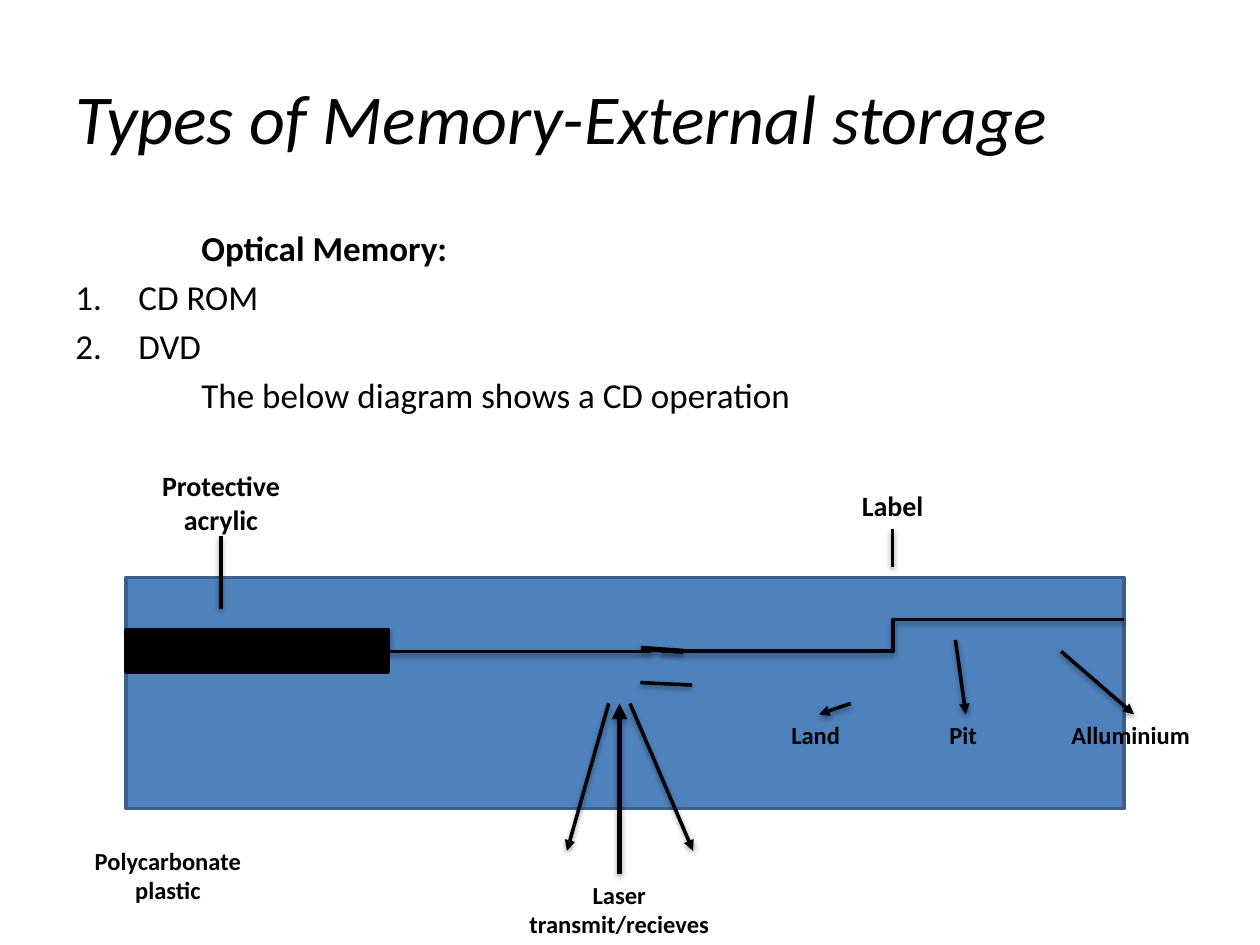
from dataclasses import dataclass

from lxml.etree import SubElement
from pptx import Presentation
from pptx.dml.color import RGBColor
from pptx.enum.shapes import MSO_CONNECTOR as Link, MSO_SHAPE as Preset
from pptx.enum.text import MSO_ANCHOR as Anchor, PP_ALIGN as Align
from pptx.oxml.ns import qn
from pptx.util import Cm, Pt


@dataclass(frozen=True)
class Theme:
    font: str = "Calibri"
    ink: RGBColor = RGBColor(0x00, 0x00, 0x00)
    disc: RGBColor = RGBColor(0x4F, 0x81, 0xBD)
    disc_edge: RGBColor = RGBColor(0x3A, 0x5F, 0x8C)
    title: int = 40
    body: int = 20
    large_label: int = 16
    label: int = 14
    thin: int = 2
    thick: int = 3


THEME = Theme()


@dataclass(frozen=True)
class Label:
    text: str
    left: float
    top: float
    height: float
    size: int = THEME.label


@dataclass(frozen=True)
class Line:
    start: tuple[float, float]
    end: tuple[float, float]
    arrow: bool = False
    width: int = THEME.thin
    kind: Link = Link.STRAIGHT


@dataclass(frozen=True)
class BodyLine:
    text: str
    bold: bool = False
    numbered: bool = False


LABEL_WIDTH = 4.23
LABELS = [
    Label("Protective acrylic", 2.34, 9.32, 1.63, THEME.large_label),
    Label("Label", 15.88, 9.73, 0.94, THEME.large_label),
    Label("Polycarbonate plastic", 1.27, 16.93, 1.45),
    Label("Laser transmit/recieves", 10.37, 17.61, 1.45),
    Label("Land", 14.33, 14.4, 0.86),
    Label("Pit", 17.3, 14.4, 0.86),
    Label("Alluminium", 20.68, 14.4, 0.86),
]

LINES = [
    # Reflective layer
    Line((2.54, 12.7), (13.13, 13.13), kind=Link.ELBOW),
    Line((13.34, 13.13), (22.66, 12.49), kind=Link.ELBOW),
    Line((13.77, 13.13), (12.92, 13.07), width=THEME.thick),
    Line((12.91, 13.76), (13.95, 13.81)),
    # Laser beams
    Line((12.27, 14.18), (11.43, 17.15), arrow=True),
    Line((12.7, 14.18), (13.97, 17.15), arrow=True),
    Line((12.49, 17.61), (12.49, 14.18), arrow=True, width=THEME.thick),
    # Pointers to the labels: aluminium, pit, land, label, acrylic
    Line((21.39, 13.13), (22.86, 14.4), arrow=True),
    Line((19.26, 12.9), (19.47, 14.4), arrow=True),
    Line((17.15, 14.18), (16.51, 14.4), arrow=True),
    Line((17.99, 10.67), (17.99, 11.43)),
    Line((4.45, 10.8), (4.45, 12.27)),
]

BODY = [
    BodyLine("Optical Memory:", bold=True),
    BodyLine("CD ROM", numbered=True),
    BodyLine("DVD", numbered=True),
    BodyLine("The below diagram shows a CD operation"),
]


def add_text_box(slide, left: float, top: float, width: float, height: float,
                 anchor: Anchor = Anchor.TOP):
    box = slide.shapes.add_textbox(Cm(left), Cm(top), Cm(width), Cm(height))
    frame = box.text_frame
    frame.word_wrap = True
    frame.vertical_anchor = anchor
    return frame


def write(paragraph, text: str, *, size: int, bold: bool = False,
          italic: bool = False, align: Align = Align.LEFT) -> None:
    paragraph.alignment = align
    run = paragraph.add_run()
    run.text = text
    font = run.font
    font.name, font.size = THEME.font, Pt(size)
    font.bold, font.italic = bold, italic
    font.color.rgb = THEME.ink


def set_indent(paragraph, margin: float, hanging: float = 0,
               numbered: bool = False) -> None:
    properties = paragraph._p.get_or_add_pPr()
    properties.set("marL", str(Cm(margin)))
    properties.set("indent", str(-Cm(hanging)))
    if numbered:
        SubElement(properties, qn("a:buFont"), typeface="+mj-lt")
        SubElement(properties, qn("a:buAutoNum"), type="arabicPeriod")


def add_body(slide) -> None:
    frame = add_text_box(slide, 1.27, 4.45, 22.86, 6.2)
    for index, line in enumerate(BODY):
        paragraph = frame.add_paragraph() if index else frame.paragraphs[0]
        if line.numbered:
            set_indent(paragraph, 1.27, hanging=1.27, numbered=True)
        else:
            set_indent(paragraph, 2.54)
        if index:
            paragraph.space_before = Pt(THEME.body * 0.2)
        write(paragraph, line.text, size=THEME.body, bold=line.bold)


def add_label(slide, label: Label) -> None:
    frame = add_text_box(slide, label.left, label.top, LABEL_WIDTH, label.height)
    write(frame.paragraphs[0], label.text, size=label.size, bold=True,
          align=Align.CENTER)


def add_bar(slide, left: float, top: float, width: float, height: float,
            fill: RGBColor, edge: RGBColor) -> None:
    shape = slide.shapes.add_shape(Preset.RECTANGLE, Cm(left), Cm(top),
                                   Cm(width), Cm(height))
    shape.shadow.inherit = False
    shape.fill.solid()
    shape.fill.fore_color.rgb = fill
    shape.line.color.rgb = edge
    shape.line.width = Pt(THEME.thin)


def add_line(slide, line: Line) -> None:
    points = [Cm(value) for value in (*line.start, *line.end)]
    connector = slide.shapes.add_connector(line.kind, *points)
    connector.line.color.rgb = THEME.ink
    connector.line.width = Pt(line.width)
    properties = connector._element.spPr
    if line.arrow:
        SubElement(properties.find(qn("a:ln")), qn("a:tailEnd"), type="triangle")
    # Soft shadow straight below the line
    thick = line.width == THEME.thick
    effects = SubElement(properties, qn("a:effectLst"))
    shadow = SubElement(effects, qn("a:outerShdw"), blurRad=str(Pt(3.1)),
                        dist=str(Pt(1.8 if thick else 1.6)), dir="5400000",
                        rotWithShape="0")
    color = SubElement(shadow, qn("a:srgbClr"), val=str(THEME.ink))
    SubElement(color, qn("a:alpha"), val="35000" if thick else "38000")


def main() -> None:
    presentation = Presentation()
    presentation.slide_width, presentation.slide_height = Cm(25.4), Cm(19.05)
    slide = presentation.slides.add_slide(presentation.slide_layouts[6])

    # Heading and introduction
    title = add_text_box(slide, 1.27, 0.76, 22.86, 3.18, Anchor.MIDDLE)
    write(title.paragraphs[0], "Types of Memory-External storage",
          size=THEME.title, italic=True)
    add_body(slide)

    # Disc cross-section
    add_bar(slide, 2.54, 11.64, 20.12, 4.66, THEME.disc, THEME.disc_edge)
    for line in LINES:
        add_line(slide, line)
    add_bar(slide, 2.54, 12.7, 5.29, 0.85, THEME.ink, THEME.ink)
    for label in LABELS:
        add_label(slide, label)

    presentation.save("out.pptx")


if __name__ == "__main__":
    main()
